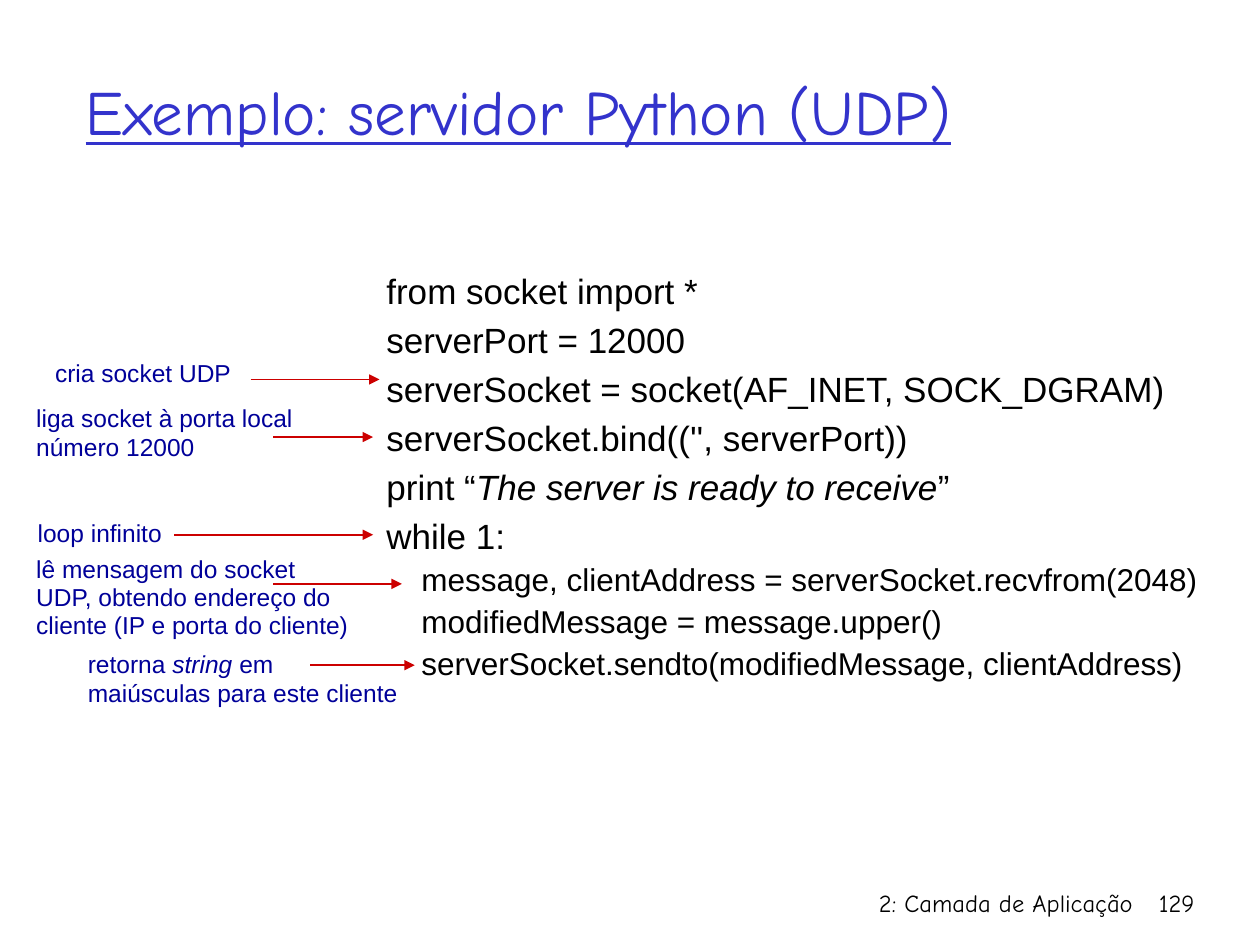
import pptx
import pptx.util
import pptx.dml.color
import pptx.enum.shapes
import pptx.enum.text
import pptx.oxml.ns
import lxml.etree

Cm = pptx.util.Cm
Pt = pptx.util.Pt
Align = pptx.enum.text.PP_ALIGN
Anchor = pptx.enum.text.MSO_ANCHOR

COLOURS = {"title": "3333CC", "code": "000000", "note": "000099", "arrow": "CC0000"}
DISPLAY_FONT = "Comic Neue"
BODY_FONT = "Arial"

CODE_LINES = [
    "from socket import *",
    "serverPort = 12000",
    "serverSocket = socket(AF_INET, SOCK_DGRAM)",
    "serverSocket.bind(('', serverPort))",
    "print “|The server is ready to receive|”",
    "while 1:",
    "    message, clientAddress = serverSocket.recvfrom(2048)",
    "    modifiedMessage = message.upper()",
    "    serverSocket.sendto(modifiedMessage, clientAddress)",
]

NOTES = [
    (["cria socket UDP"], (0.86, 7.09, 6.71, 0.86), None, (5.05, 7.65, 7.65)),
    (["liga socket à porta local número 12000"], (0.48, 8, 6.3, 1.45), None, (5.51, 7.52, 8.81)),
    (["loop infinito"], (0.51, 10.34, 3.33, 0.84), 16, (3.51, 7.52, 10.78)),
    (["lê mensagem do socket UDP, obtendo endereço do cliente (IP e porta do cliente)"],
     (0.48, 11.07, 6.81, 1.96), 16, (5.51, 8.1, 11.77)),
    (["retorna |string| em", "maiúsculas para este cliente"],
     (1.52, 12.95, 7.09, 1.45), None, (6.25, 8.36, 13.41)),
]


class SlideWriter:
    def __init__(self, deck):
        self.slide = deck.slides.add_slide(deck.slide_layouts[5])

    def style(self, span, size, font, colour):
        span.font.size = Pt(size)
        span.font.name = font
        span.font.color.rgb = pptx.dml.color.RGBColor.from_string(COLOURS[colour])

    def title(self, text, left, top, width, height):
        box = self.slide.shapes.title
        box.left, box.top, box.width, box.height = map(Cm, (left, top, width, height))
        box.text_frame.text = text
        box.text_frame.vertical_anchor = Anchor.MIDDLE
        para = box.text_frame.paragraphs[0]
        para.alignment = Align.LEFT
        self.style(para.runs[0], 36, DISPLAY_FONT, "title")
        para.runs[0].font.underline = True

    def text(self, lines, place, size, font, colour, align=Align.LEFT):
        box = self.slide.shapes.add_textbox(*map(Cm, place))
        frame = box.text_frame
        frame.word_wrap = True
        frame.text = "\n" * (len(lines) - 1)
        for para, line in zip(frame.paragraphs, lines):
            para.alignment = align
            for index, part in enumerate(line.split("|")):
                span = para.add_run()
                span.text = part
                self.style(span, size, font, colour)
                if index % 2:
                    span.font.italic = True
        return frame

    def code(self, lines, place):
        frame = self.text(lines, place, 20, BODY_FONT, "code")
        for para, line in zip(frame.paragraphs, lines):
            indented = line.startswith(" ")
            para.line_spacing = Pt(24 if indented else 28)
            for span in para.runs:
                span.font.size = Pt(18 if indented else 20)

    def note(self, lines, place, spacing):
        frame = self.text(lines, place, 14, BODY_FONT, "note")
        if spacing:
            for para in frame.paragraphs:
                para.line_spacing = Pt(spacing)

    def arrow(self, start, end, height):
        line = self.slide.shapes.add_connector(
            pptx.enum.shapes.MSO_CONNECTOR.STRAIGHT, Cm(start), Cm(height), Cm(end), Cm(height))
        line.line.width = Pt(1)
        line.line.color.rgb = pptx.dml.color.RGBColor.from_string(COLOURS["arrow"])
        qn = pptx.oxml.ns.qn
        lxml.etree.SubElement(line.line._get_or_add_ln(), qn("a:tailEnd"), type="triangle")
        lxml.etree.SubElement(line._element.spPr, qn("a:effectLst"))


def main():
    deck = pptx.Presentation()
    deck.slide_width, deck.slide_height = Cm(25.4), Cm(19.05)
    page = SlideWriter(deck)
    page.title("Exemplo: servidor Python (UDP)", 1.47, 0.64, 21.59, 3.18)
    page.code(CODE_LINES, (7.54, 5.16, 17.07, 10.11))
    for lines, place, spacing, arrow in NOTES:
        page.note(lines, place, spacing)
        page.arrow(*arrow)
    for label, left, width in (("2: Camada de Aplicação", 15.04, 8.05), ("129", 23.06, 1.27)):
        page.text([label], (left, 17.78, width, 1.27), 14, DISPLAY_FONT, "code", Align.RIGHT)
    deck.save("out.pptx")


if __name__ == "__main__":
    main()
